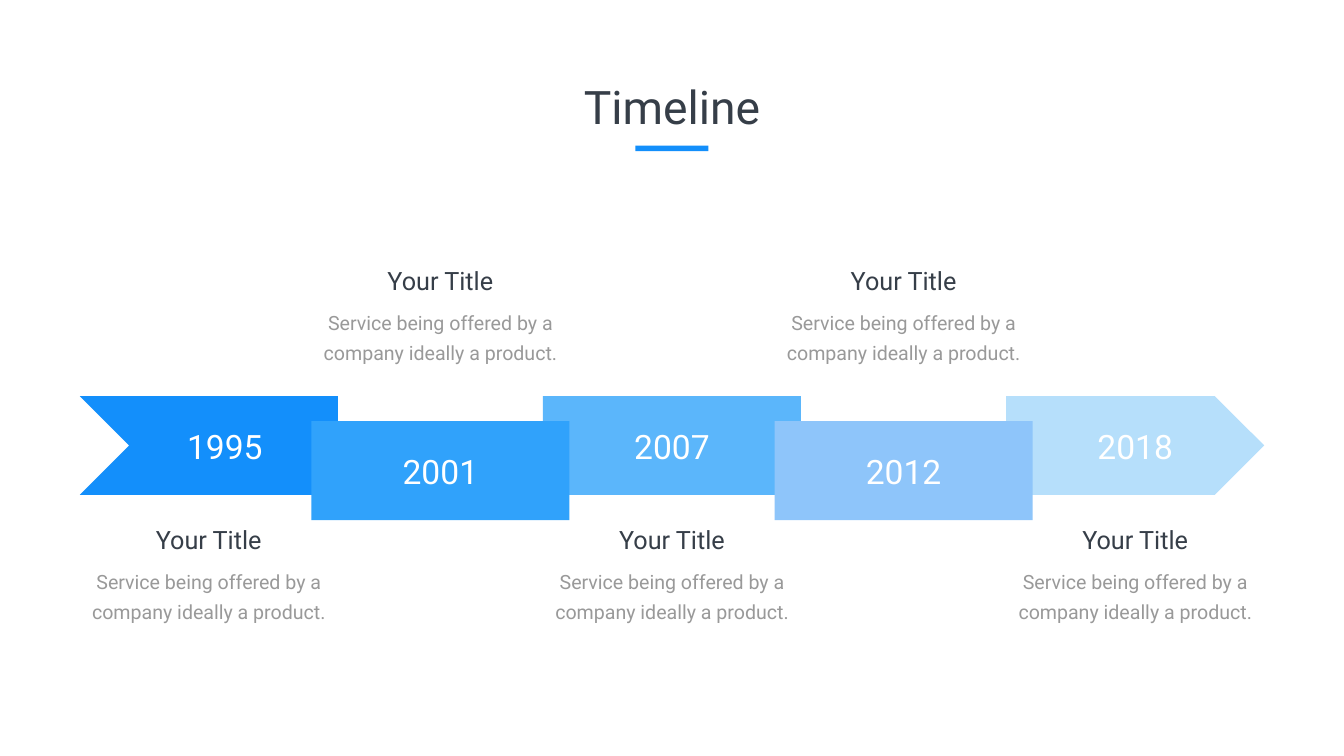
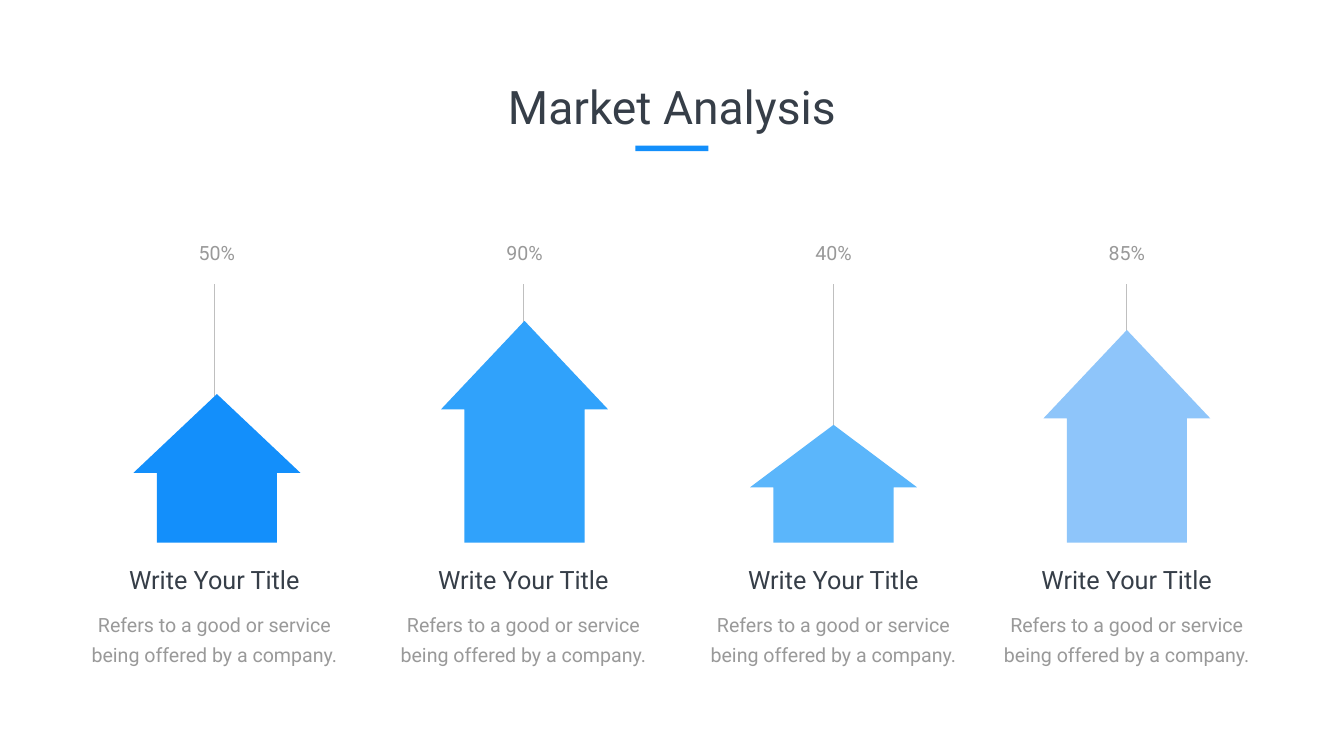
"""Build a timeline slide and a market analysis slide."""
import pptx
import pptx.dml.color
import pptx.enum.shapes
import pptx.enum.text
import pptx.util
from lxml import etree

Cm = pptx.util.Cm
Pt = pptx.util.Pt
RGBColor = pptx.dml.color.RGBColor
Preset = pptx.enum.shapes.MSO_SHAPE

BLUE = RGBColor(0x13, 0x8F, 0xFB)
BRIGHT = RGBColor(0x30, 0xA2, 0xFB)
SKY = RGBColor(0x5B, 0xB6, 0xFB)
SOFT = RGBColor(0x8E, 0xC5, 0xFA)
PALE = RGBColor(0xB6, 0xDF, 0xFB)
DARK = RGBColor(0x36, 0x3E, 0x48)
GREY = RGBColor(0x99, 0x99, 0x99)
RULE = RGBColor(0xBF, 0xBF, 0xBF)
WHITE = RGBColor(0xFF, 0xFF, 0xFF)

WIDTH, HEIGHT = 67.72, 38.1
MIDDLE = WIDTH / 2
BODY_FRAME = {
    "margin_left": Cm(0.61), "margin_right": Cm(0.61),
    "margin_top": Cm(0.3), "margin_bottom": Cm(0.3),
}
STYLES = {
    "heading": {"size": 66, "color": DARK},
    "year": {"size": 48, "color": WHITE, "frame": {"word_wrap": False}},
    "title": {"size": 36, "color": DARK},
    "body": {"size": 28, "color": GREY, "frame": BODY_FRAME,
             "paragraph": {"line_spacing": Pt(43)}},
    "percent": {"size": 28, "color": GREY},
}


class Deck:
    """Holds the shared style and the current slide."""

    def __init__(self):
        self.presentation = pptx.Presentation()
        self.presentation.slide_width = Cm(WIDTH)
        self.presentation.slide_height = Cm(HEIGHT)
        self.slide = None

    def new_slide(self, heading):
        """Start a slide with its heading and underline."""
        self.slide = self.presentation.slides.add_slide(self.presentation.slide_layouts[6])
        self.text(heading, "heading", MIDDLE, 3.81, 24.05, 3.07)
        self.shape(Preset.RECTANGLE, MIDDLE, 7.34, 3.68, 0.28, BLUE)

    def text(self, words, style, center, top, width, height):
        """Add centred text around a vertical axis."""
        look = STYLES[style]
        box = self.slide.shapes.add_textbox(
            Cm(center - width / 2), Cm(top), Cm(width), Cm(height))
        frame = box.text_frame
        paragraph = frame.paragraphs[0]
        run = paragraph.add_run()
        run.text = words
        run.font.color.rgb = look["color"]
        formats = (
            (frame, {"word_wrap": True,
                     "auto_size": pptx.enum.text.MSO_AUTO_SIZE.SHAPE_TO_FIT_TEXT,
                     **look.get("frame", {})}),
            (paragraph, {"alignment": pptx.enum.text.PP_ALIGN.CENTER,
                         **look.get("paragraph", {})}),
            (run.font, {"name": "Roboto", "size": Pt(look["size"])}),
        )
        for target, values in formats:
            for attribute, value in values.items():
                setattr(target, attribute, value)

    def shape(self, preset, center, top, width, height, color, adjustments=()):
        """Add a plain filled shape around a vertical axis."""
        shape = self.slide.shapes.add_shape(
            preset, Cm(center - width / 2), Cm(top), Cm(width), Cm(height))
        for index, value in enumerate(adjustments):
            shape.adjustments[index] = value
        shape.shadow.inherit = False
        shape.fill.solid()
        shape.fill.fore_color.rgb = color
        shape.line.fill.background()

    def vertical_line(self, center, top, bottom):
        """Add a thin vertical line."""
        line = self.slide.shapes.add_connector(
            pptx.enum.shapes.MSO_CONNECTOR.STRAIGHT,
            Cm(center), Cm(top), Cm(center), Cm(bottom))
        line.line.color.rgb = RULE
        line.line.width = Pt(1)
        etree.SubElement(line._element.spPr, pptx.oxml.ns.qn("a:effectLst"))

    def caption(self, title, body, center, top, title_width, body_width, body_offset):
        """Add a title with its description below."""
        self.text(body, "body", center, top + body_offset, body_width, 3.53)
        self.text(title, "title", center, top, title_width, 1.8)


def build_timeline(deck):
    """Draw five years as an overlapping ribbon."""
    deck.new_slide("Timeline")
    first_center, pitch = 10.52, 11.67
    step_width, step_height = 13, 4.98
    high_top, low_top = 19.96, 21.23
    steps = (
        ("1995", Preset.CHEVRON, BLUE),
        ("2001", Preset.RECTANGLE, BRIGHT),
        ("2007", Preset.RECTANGLE, SKY),
        ("2012", Preset.RECTANGLE, SOFT),
        ("2018", Preset.PENTAGON, PALE),
    )
    deck.shape(Preset.RECTANGLE, 12.15, high_top, 9.75, step_height, BLUE)
    for index in (0, 2, 4, 1, 3):
        year, preset, color = steps[index]
        center = first_center + index * pitch
        lowered = index % 2 == 1
        top = low_top if lowered else high_top
        year_center = center + (0.81 if index == 0 else 0)
        deck.shape(preset, center, top, step_width, step_height, color)
        deck.text(year, "year", year_center, top + 1.37, 4.37, 2.31)
        deck.caption("Your Title", "Service being offered by a company ideally a product.",
                     center, 13.26 if lowered else 26.31, 10.08, 14.05, 1.78)


def build_market_analysis(deck):
    """Draw four rising arrows with their shares."""
    deck.new_slide("Market Analysis")
    baseline = 27.35
    markets = (
        ("50%", 10.8, 10.93, 7.49, BLUE),
        ("90%", 26.37, 26.43, 11.18, BRIGHT),
        ("40%", 41.99, 42, 5.94, SKY),
        ("85%", 56.77, 56.78, 10.72, SOFT),
    )
    for share, axis, arrow_center, arrow_height, color in markets:
        deck.vertical_line(axis, 14.33, 21.89)
        deck.shape(Preset.UP_ARROW, arrow_center, baseline - arrow_height,
                   8.41, arrow_height, color, (0.72, 0.53))
        deck.text(share, "percent", arrow_center, 12.04, 6.88, 1.4)
        deck.caption("Write Your Title",
                     "Refers to a good or service being offered by a company.",
                     axis, 28.32, 13.92, 13.92, 1.93)


def main():
    """Build and save the deck."""
    deck = Deck()
    build_timeline(deck)
    build_market_analysis(deck)
    deck.presentation.save("out.pptx")


if __name__ == "__main__":
    main()
